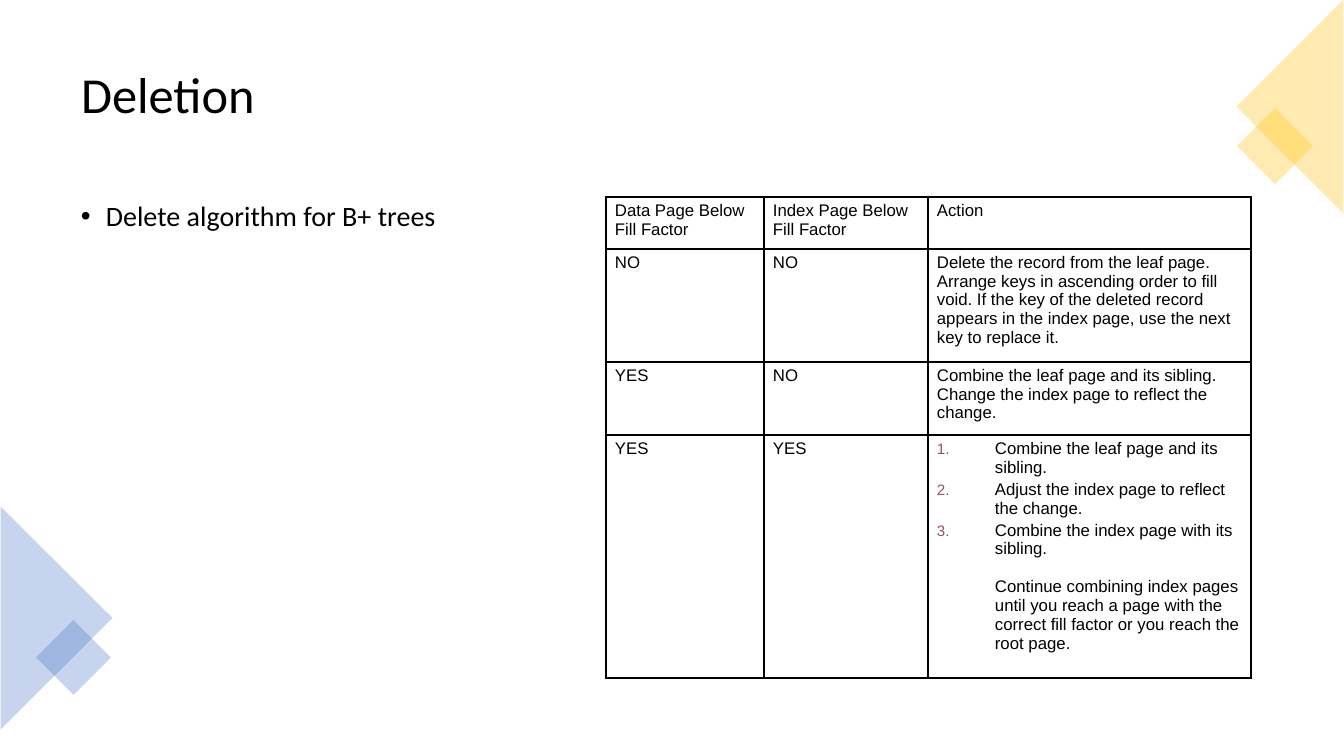
from lxml import etree
from pptx import Presentation
from pptx.dml.color import RGBColor
from pptx.enum.shapes import MSO_SHAPE
from pptx.enum.text import MSO_ANCHOR, PP_ALIGN
from pptx.oxml.ns import qn
from pptx.util import Emu, Pt

RECTANGLE = MSO_SHAPE.RECTANGLE
TRIANGLE = MSO_SHAPE.ISOSCELES_TRIANGLE
TOP, MIDDLE = MSO_ANCHOR.TOP, MSO_ANCHOR.MIDDLE
LEFT = PP_ALIGN.LEFT

EMU_PER_PX = 914400 / 100.8
BLACK, BLUE, GOLD, PLUM = "000000", "4472C4", "FFC000", "954F72"
THICK, THIN = 2.25, 1

COLUMN_WIDTHS = [158, 164, 323]
ROW_HEIGHTS = [52, 113, 73, 243]
DELETION_RULES = [
    ["Data Page Below Fill Factor", "Index Page Below Fill Factor", "Action"],
    ["NO", "NO", "Delete the record from the leaf page. Arrange keys in ascending "
     "order to fill void. If the key of the deleted record appears in the index "
     "page, use the next key to replace it."],
    ["YES", "NO", "Combine the leaf page and its sibling. Change the index page "
     "to reflect the change."],
    ["YES", "YES", ""],
]
MERGE_STEPS = [
    "Combine the leaf page and its sibling.",
    "Adjust the index page to reflect the change.",
    "Combine the index page with its sibling.",
]
MERGE_NOTE = ("Continue combining index pages until you reach a page with the "
              "correct fill factor or you reach the root page.")

# left, top, width, height, rotation, preset, colour
CORNER_SHAPES = [
    (-55, 562, 223, 112, 90, TRIANGLE, BLUE),
    (47, 631, 53, 53, 45, RECTANGLE, BLUE),
    (1248, 119, 54, 54, 45, RECTANGLE, GOLD),
    (1183, 53, 214, 107, 270, TRIANGLE, GOLD),
]


def px(value):
    return Emu(round(value * EMU_PER_PX))


def rgb(hex_colour):
    return RGBColor.from_string(hex_colour)


def add_child(parent, tag, **attributes):
    child = etree.SubElement(parent, qn(tag))
    for key, value in attributes.items():
        child.set(key, str(value))
    return child


def add_run(paragraph, text, font, size):
    run = paragraph.add_run()
    run.text = text
    run.font.name = font
    run.font.size = Pt(size)
    run.font.color.rgb = rgb(BLACK)


def set_indent(paragraph, indent, hanging):
    properties = paragraph._p.get_or_add_pPr()
    properties.set("marL", str(px(indent)))
    properties.set("indent", str(-px(hanging)))
    return properties


def add_corner_shape(slide, left, top, width, height, rotation, preset, colour):
    shape = slide.shapes.add_shape(preset, px(left), px(top), px(width), px(height))
    shape.rotation = rotation
    shape.shadow.inherit = False
    shape.line.fill.background()
    shape.fill.solid()
    shape.fill.fore_color.rgb = rgb(colour)
    solid = shape.fill._xPr.find(qn("a:solidFill"))
    add_child(solid[0], "a:alpha", val=30000)


def set_title(slide, text):
    title = slide.shapes.title
    title.left, title.top, title.width, title.height = px(71), px(35), px(1203), px(125)
    title.text_frame.vertical_anchor = MIDDLE
    paragraph = title.text_frame.paragraphs[0]
    paragraph.alignment = LEFT
    paragraph.line_spacing = 0.9
    add_run(paragraph, text, "Calibri", 36)


def add_bullet_text(slide, text):
    frame = slide.shapes.add_textbox(px(71), px(197), px(442), px(485)).text_frame
    frame.word_wrap = True
    frame.vertical_anchor = TOP
    paragraph = frame.paragraphs[0]
    properties = set_indent(paragraph, 25, 25)
    add_child(properties, "a:buFont", typeface="Arial")
    add_child(properties, "a:buChar", char="•")
    paragraph.line_spacing = 0.9
    add_run(paragraph, text, "Calibri", 20)


def set_borders(cell, row, column):
    last_row, last_column = len(ROW_HEIGHTS) - 1, len(COLUMN_WIDTHS) - 1
    outer_sides = {"a:lnL": column == 0, "a:lnR": column == last_column,
                   "a:lnT": row == 0, "a:lnB": row == last_row}
    properties = cell._tc.get_or_add_tcPr()
    for tag, is_outer in outer_sides.items():
        border = add_child(properties, tag, w=Pt(THICK if is_outer else THIN))
        add_child(add_child(border, "a:solidFill"), "a:srgbClr", val=BLACK)


def fill_merge_steps(frame):
    for number, step in enumerate(MERGE_STEPS):
        paragraph = frame.add_paragraph() if number else frame.paragraphs[0]
        properties = set_indent(paragraph, 58, 58)
        add_child(add_child(properties, "a:buClr"), "a:srgbClr", val=PLUM)
        add_child(properties, "a:buSzPct", val=90000)
        add_child(properties, "a:buFont", typeface="Arial")
        add_child(properties, "a:buAutoNum", type="arabicPeriod")
        if number:
            paragraph.space_before = Pt(2.4)
        add_run(paragraph, step, "Arial", 12)
    note = frame.add_paragraph()
    add_child(set_indent(note, 58, 0), "a:buNone")
    note.space_before = Pt(13.5)
    add_run(note, MERGE_NOTE, "Arial", 12)


def add_rules_table(slide):
    table = slide.shapes.add_table(
        len(ROW_HEIGHTS), len(COLUMN_WIDTHS), px(606), px(197),
        px(sum(COLUMN_WIDTHS)), px(sum(ROW_HEIGHTS))).table
    table.first_row = table.horz_banding = False
    for column, width in enumerate(COLUMN_WIDTHS):
        table.columns[column].width = px(width)
    for row, height in enumerate(ROW_HEIGHTS):
        table.rows[row].height = px(height)
        for column, text in enumerate(DELETION_RULES[row]):
            cell = table.cell(row, column)
            cell.margin_left = cell.margin_right = px(9)
            cell.margin_top = cell.margin_bottom = px(4)
            set_borders(cell, row, column)
            cell.fill.background()
            if text:
                add_run(cell.text_frame.paragraphs[0], text, "Arial", 12)
            else:
                fill_merge_steps(cell.text_frame)


def main():
    presentation = Presentation()
    presentation.slide_width, presentation.slide_height = px(1344), px(756)
    slide = presentation.slides.add_slide(presentation.slide_layouts[5])

    # Heading and bullet
    set_title(slide, "Deletion")
    add_bullet_text(slide, "Delete algorithm for B+ trees")

    # Corner decoration
    for corner_shape in CORNER_SHAPES:
        add_corner_shape(slide, *corner_shape)

    # Deletion rules
    add_rules_table(slide)
    presentation.save("out.pptx")


if __name__ == "__main__":
    main()
